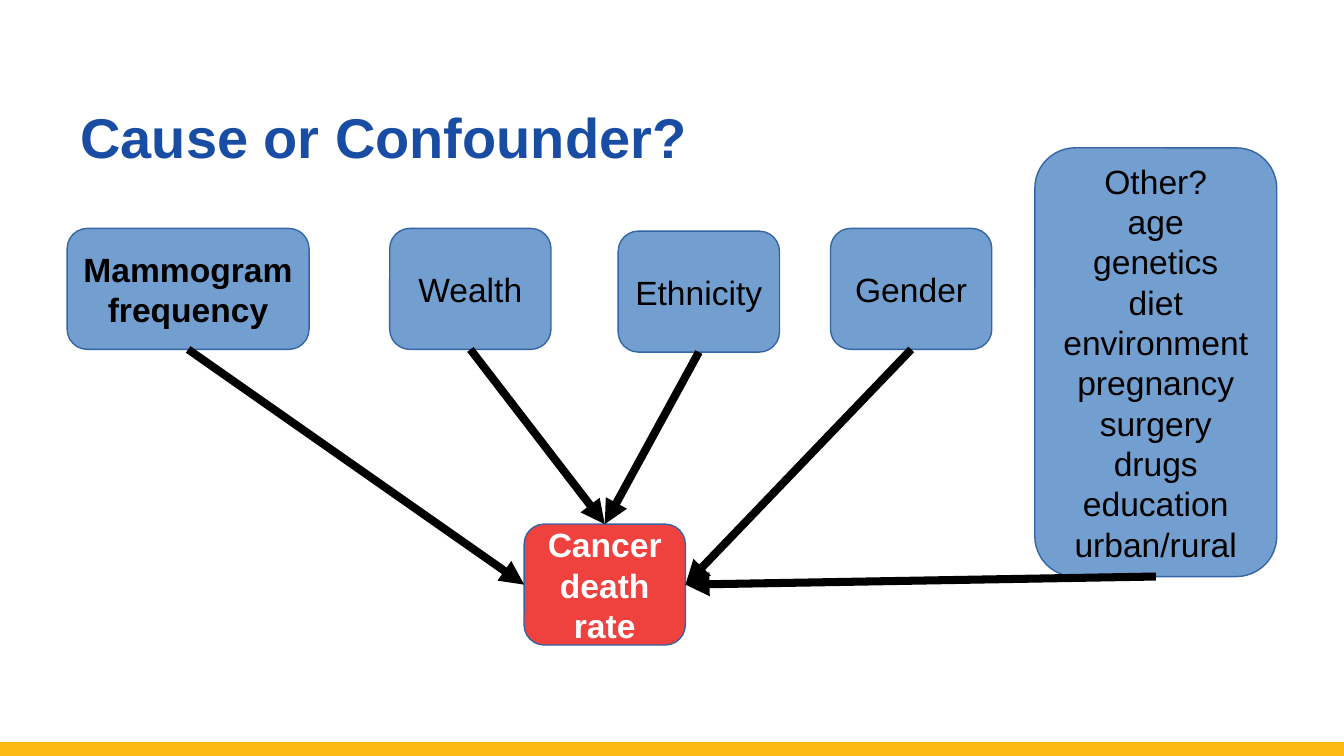
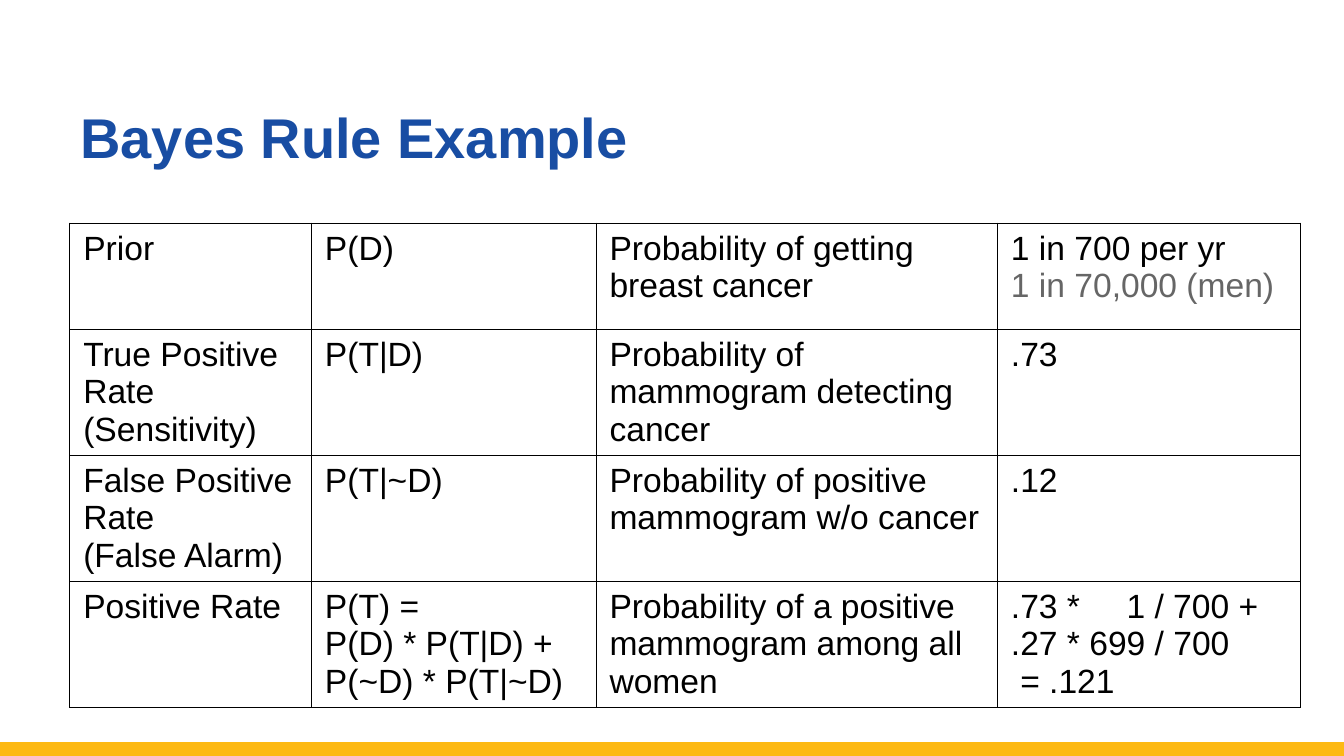
from dataclasses import dataclass

from lxml import etree
from pptx import Presentation
from pptx import util as u
from pptx.dml.color import RGBColor
from pptx.enum import shapes, text
from pptx.oxml import ns


@dataclass(frozen=True)
class Theme:
    font: str = "Arial"
    title: str = "184DA3"
    band: str = "FDB913"
    ink: str = "000000"
    pale: str = "FFFFFF"
    mute: str = "666666"
    cause: str = "729FCF"
    effect: str = "EF413D"
    edge: str = "3465A4"
    head: float = 30
    body: float = 18
    tall: float = 58  # line pitch of titles, boxes and cells
    lead: float = 21.6
    tight: float = 20.1
    rule: float = 0.57
    arrow: float = 4.31


T = Theme()
WIDE = 10
HIGH = WIDE * 9 / 16
CELL = 0.1  # grid step in inches
TITLE = (5, 0, 90, 13.1)  # regions as column, row, columns, rows
GRAPH = (5, 11, 90, 37)
TABLE = (5.2, 16.6, 91.6, 31.6)


def grid(*cells):
    return [u.Inches(n * CELL) for n in cells]


def rgb(code):
    return RGBColor.from_string(code)


def add(node, tag, **attrs):
    return etree.SubElement(node, ns.qn(tag), **attrs)


def style(para, size, lead, color, bold=False):
    para.line_spacing = u.Pt(lead)
    for run in para.runs:
        run.font.name = T.font
        run.font.size = u.Pt(size)
        run.font.bold = bold
        run.font.color.rgb = rgb(color)


def link(slide, ends, color, width):
    line = slide.shapes.add_connector(shapes.MSO_CONNECTOR.STRAIGHT, *ends)
    line.line.color.rgb = rgb(color)
    line.line.width = u.Pt(width)
    add(line._element.spPr, "a:effectLst")
    return line


# Shared frame: bottom band and title
def frame(deck, title, box):
    slide = deck.slides.add_slide(deck.slide_layouts[6])
    link(slide, grid(0, 55.8, 100, 55.8), T.band, 8)
    body = slide.shapes.add_textbox(*grid(*box)).text_frame
    body.word_wrap = True
    body.vertical_anchor = text.MSO_ANCHOR.BOTTOM
    body.text = title
    style(body.paragraphs[0], T.head, T.tall, T.title, True)
    return slide


# Rounded box with centred lines
def node(slide, box, words, fill, color, bold):
    shape = slide.shapes.add_shape(
        shapes.MSO_SHAPE.ROUNDED_RECTANGLE, *grid(*box))
    shape.adjustments[0] = 0.167
    shape.shadow.inherit = False
    shape.fill.solid()
    shape.fill.fore_color.rgb = rgb(fill)
    shape.line.color.rgb = rgb(T.edge)
    shape.line.width = 0
    body = shape.text_frame
    body.word_wrap = False
    body.vertical_anchor = text.MSO_ANCHOR.MIDDLE
    body.text = words
    for para in body.paragraphs:
        para.alignment = text.PP_ALIGN.CENTER
        style(para, T.body, T.lead, color, bold)
    return shape


# Causes above, each with an arrow to the effect
def graph(slide, box, causes, effect):
    left, top = box[:2]

    def place(spot, *look):
        x, y, w, h = spot
        return node(slide, (left + x, top + y, w, h), *look)

    goal = place((34, 28, 12, 9), effect, T.effect, T.pale, True)
    for words, spot, side, bold in causes:
        cause = place(spot, words, T.cause, T.ink, bold)
        line = link(slide, (0, 0, 0, 0), T.ink, T.arrow)
        line.begin_connect(cause, BOTTOM)
        line.end_connect(goal, side)
        add(line.line._get_or_add_ln(), "a:tailEnd", type="triangle")


def border(cell):
    props = cell._tc.get_or_add_tcPr()
    for side in ("a:lnL", "a:lnR", "a:lnT", "a:lnB"):
        line = add(props, side, w=str(u.Pt(T.rule)))
        add(add(line, "a:solidFill"), "a:srgbClr", val=T.ink)


# Ruled table with plain cells
def table(slide, box, rows, shares, mute):
    sheet = slide.shapes.add_table(len(rows), len(shares), *grid(*box)).table
    sheet.first_row = sheet.horz_banding = False
    for col, share in zip(sheet.columns, shares):
        col.width = grid(box[2] * share / sum(shares))[0]
    for r, row in enumerate(rows):
        for c, words in enumerate(row):
            cell = sheet.cell(r, c)
            border(cell)
            cell.fill.background()
            cell.text_frame.text = words
            for para in cell.text_frame.paragraphs:
                color = T.mute if para.text == mute else T.ink
                style(para, T.body, T.tight, color)
                if "\t" in para.text:
                    tabs = add(para._p.get_or_add_pPr(), "a:tabLst")
                    add(tabs, "a:tab", pos=str(u.Inches(0.86)), algn="l")


# Connection sites of a rounded box
TOP, LEFT, BOTTOM, RIGHT = range(4)

OTHER = """Other?
age
genetics
diet
environment
pregnancy
surgery
drugs
education
urban/rural"""

CAUSES = [
    ("Mammogram\nfrequency", (0, 6, 18, 9), LEFT, True),
    ("Wealth", (24, 6, 12, 9), TOP, False),
    ("Ethnicity", (41, 6.2, 12, 9), TOP, False),
    (OTHER, (72, 0, 18, 31.9), RIGHT, False),
    ("Gender", (56.8, 6, 12, 9), RIGHT, False),
]

MEN = "1 in 70,000 (men)"
RATES = [
    ("Prior", "P(D)", "Probability of getting breast cancer",
     "1 in 700 per yr\n" + MEN),
    ("True Positive Rate\n(Sensitivity)", "P(T|D)",
     "Probability of mammogram detecting cancer", ".73"),
    ("False Positive Rate\n(False Alarm)", "P(T|~D)",
     "Probability of positive mammogram w/o cancer", ".12"),
    ("Positive Rate", "P(T) =\nP(D) * P(T|D) + P(~D) * P(T|~D)",
     "Probability of a positive mammogram among all women",
     ".73 *\t1 / 700 +\n.27 * 699 / 700\n = .121"),
]


def main():
    deck = Presentation()
    deck.slide_width, deck.slide_height = u.Inches(WIDE), u.Inches(HIGH)
    slide = frame(deck, "Cause or Confounder?", TITLE)
    graph(slide, GRAPH, CAUSES, "Cancer\ndeath\nrate")
    slide = frame(deck, "Bayes Rule Example", TITLE)
    table(slide, TABLE, RATES, (1.8, 2.12, 2.99, 2.26), MEN)
    deck.save("out.pptx")


if __name__ == "__main__":
    main()
